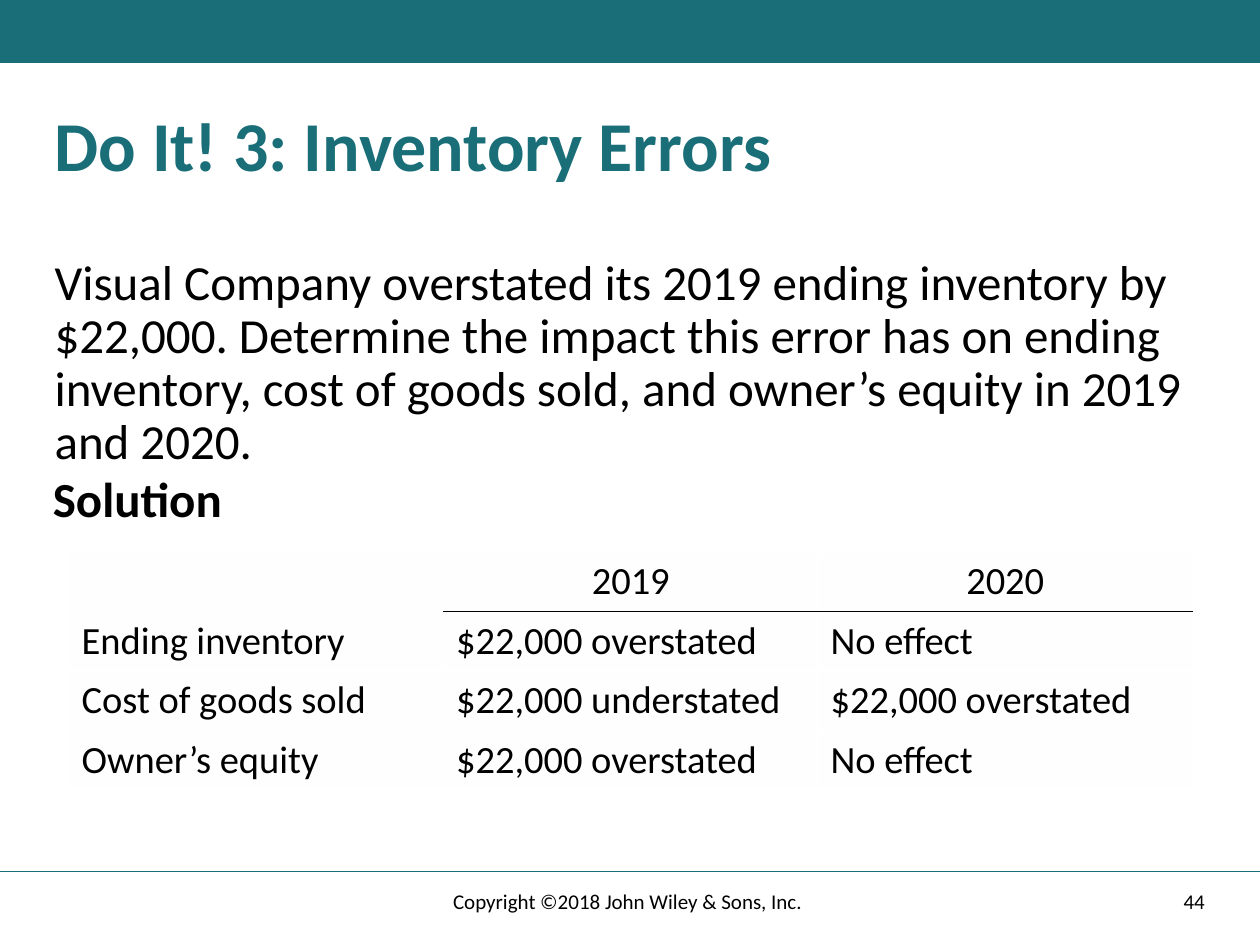
from pptx import Presentation
from pptx.dml.color import RGBColor
from pptx.enum.shapes import MSO_CONNECTOR, MSO_SHAPE
from pptx.enum.text import MSO_ANCHOR, MSO_AUTO_SIZE, PP_ALIGN
from pptx.oxml.ns import qn
from pptx.util import Pt
from lxml.etree import SubElement

TEAL, BLACK, WHITE, CELL = "196E78", "000000", "FFFFFF", "FFFEFE"


def color(value):
    return RGBColor.from_string(value)


class SlideBuilder:
    font_name = "Calibri"

    def __init__(self, slide):
        self.slide = slide

    def add_text(self, paragraph, text, size, ink=BLACK, bold=False, align=PP_ALIGN.LEFT):
        paragraph.alignment = align
        run = paragraph.add_run()
        run.text = text
        font = run.font
        font.name, font.size, font.bold = self.font_name, Pt(size), bold
        font.color.rgb = color(ink)

    def placeholder(self, index, box, text, size, ink=BLACK, bold=False):
        shape = self.slide.placeholders[index]
        shape.left, shape.top, shape.width, shape.height = map(Pt, box)
        frame = shape.text_frame
        frame.word_wrap = True
        frame.auto_size = MSO_AUTO_SIZE.NONE
        frame.vertical_anchor = MSO_ANCHOR.TOP
        paragraph = frame.paragraphs[0]
        properties = paragraph._p.get_or_add_pPr()
        properties.set("marL", "0")
        properties.set("indent", "0")
        SubElement(properties, qn("a:buNone"))
        paragraph.line_spacing = 0.9
        paragraph.space_before = Pt(0)
        self.add_text(paragraph, text, size, ink, bold)

    def text_box(self, box, text, size, align):
        frame = self.slide.shapes.add_textbox(*map(Pt, box)).text_frame
        frame.word_wrap = True
        frame.vertical_anchor = MSO_ANCHOR.MIDDLE
        self.add_text(frame.paragraphs[0], text, size, align=align)

    def band(self, box, fill):
        shape = self.slide.shapes.add_shape(MSO_SHAPE.RECTANGLE, *map(Pt, box))
        shape.shadow.inherit = False
        shape.fill.solid()
        shape.fill.fore_color.rgb = color(fill)
        shape.line.fill.background()

    def rule(self, left, right, top, ink):
        line = self.slide.shapes.add_connector(
            MSO_CONNECTOR.STRAIGHT, Pt(left), Pt(top), Pt(right), Pt(top))
        line.line.color.rgb = color(ink)
        line.line.width = Pt(1)
        SubElement(line._element.spPr, qn("a:effectLst"))

    def border(self, cell, side, ink, width=1):
        line = SubElement(cell._tc.get_or_add_tcPr(), qn(f"a:ln{side}"), w=str(Pt(width)))
        fill = SubElement(line, qn("a:solidFill"))
        SubElement(fill, qn("a:srgbClr"), val=ink)

    def table(self, box, rows, size):
        """Draw a table with a black rule under its filled header cells."""
        table = self.slide.shapes.add_table(len(rows), len(rows[0]), *map(Pt, box)).table
        table.first_row = table.horz_banding = False
        for row_index, row in enumerate(rows):
            for column_index, text in enumerate(row):
                cell = table.cell(row_index, column_index)
                inks = dict.fromkeys("LRTB", WHITE)
                if column_index and row_index < 2:
                    inks["T" if row_index else "B"] = BLACK
                for side, ink in inks.items():
                    self.border(cell, side, ink)
                cell.fill.solid()
                cell.fill.fore_color.rgb = color(CELL)
                if text:
                    align = PP_ALIGN.LEFT if row_index else PP_ALIGN.CENTER
                    self.add_text(cell.text_frame.paragraphs[0], text, size, align=align)


def main():
    presentation = Presentation()
    presentation.slide_width, presentation.slide_height = Pt(720), Pt(540)
    two_content_layout = presentation.slide_layouts[3]
    builder = SlideBuilder(presentation.slides.add_slide(two_content_layout))

    builder.band((0, 0, 720, 36), TEAL)
    builder.rule(0, 720, 498, TEAL)
    builder.placeholder(0, (24, 60, 672, 78), "Do It! 3: Inventory Errors", 40, TEAL, True)
    builder.placeholder(
        1, (24, 144, 672, 126),
        "Visual Company overstated its 2019 ending inventory by $22,000. "
        "Determine the impact this error has on ending inventory, cost of goods sold, "
        "and owner’s equity in 2019 and 2020.", 28)
    builder.placeholder(2, (23, 268, 122, 29), "Solution", 28, bold=True)
    builder.table((39.5, 315.5, 642, 135), [
        ("", "2019", "2020"),
        ("Ending inventory", "$22,000 overstated", "No effect"),
        ("Cost of goods sold", "$22,000 understated", "$22,000 overstated"),
        ("Owner’s equity", "$22,000 overstated", "No effect"),
    ], 22)
    builder.text_box((508.5, 500.5, 187, 29), "44", 12, PP_ALIGN.RIGHT)
    builder.text_box((238.5, 500.5, 243, 29), "Copyright ©2018 John Wiley & Sons, Inc. ",
                     12, PP_ALIGN.CENTER)
    presentation.save("out.pptx")


if __name__ == "__main__":
    main()
